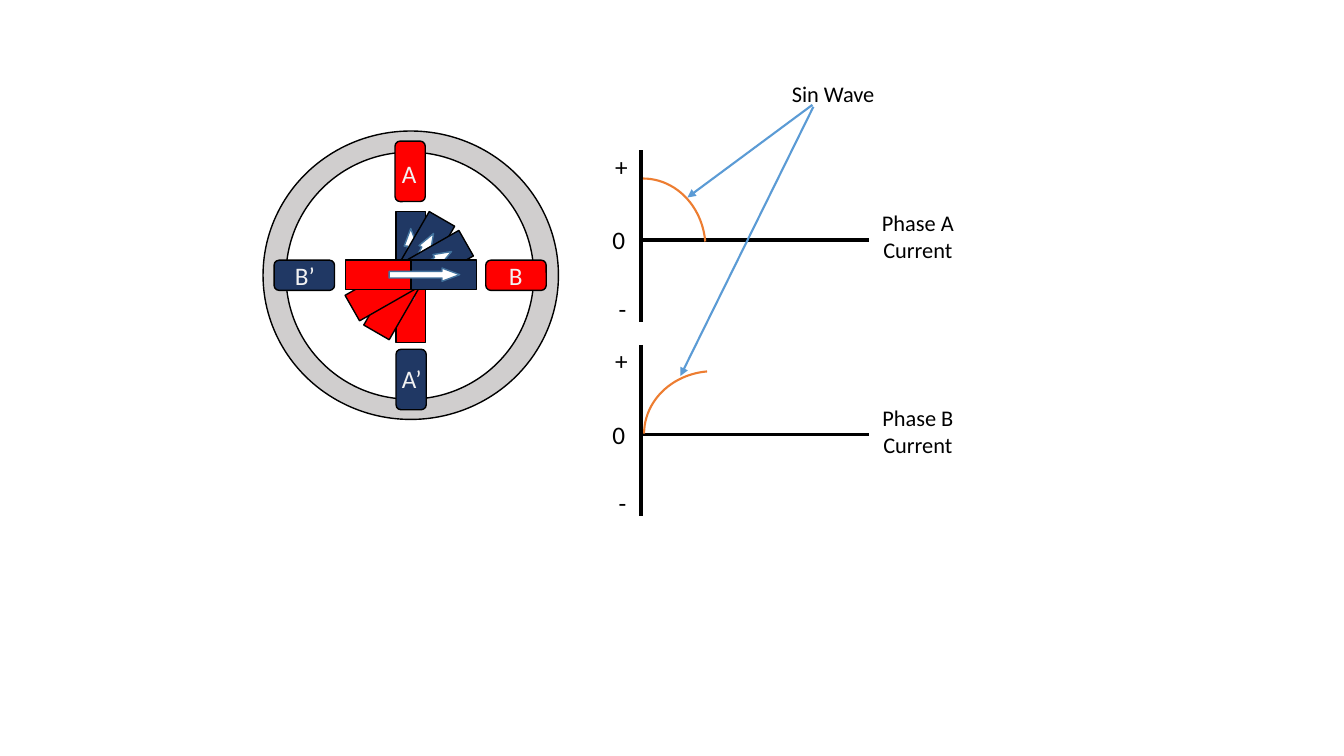
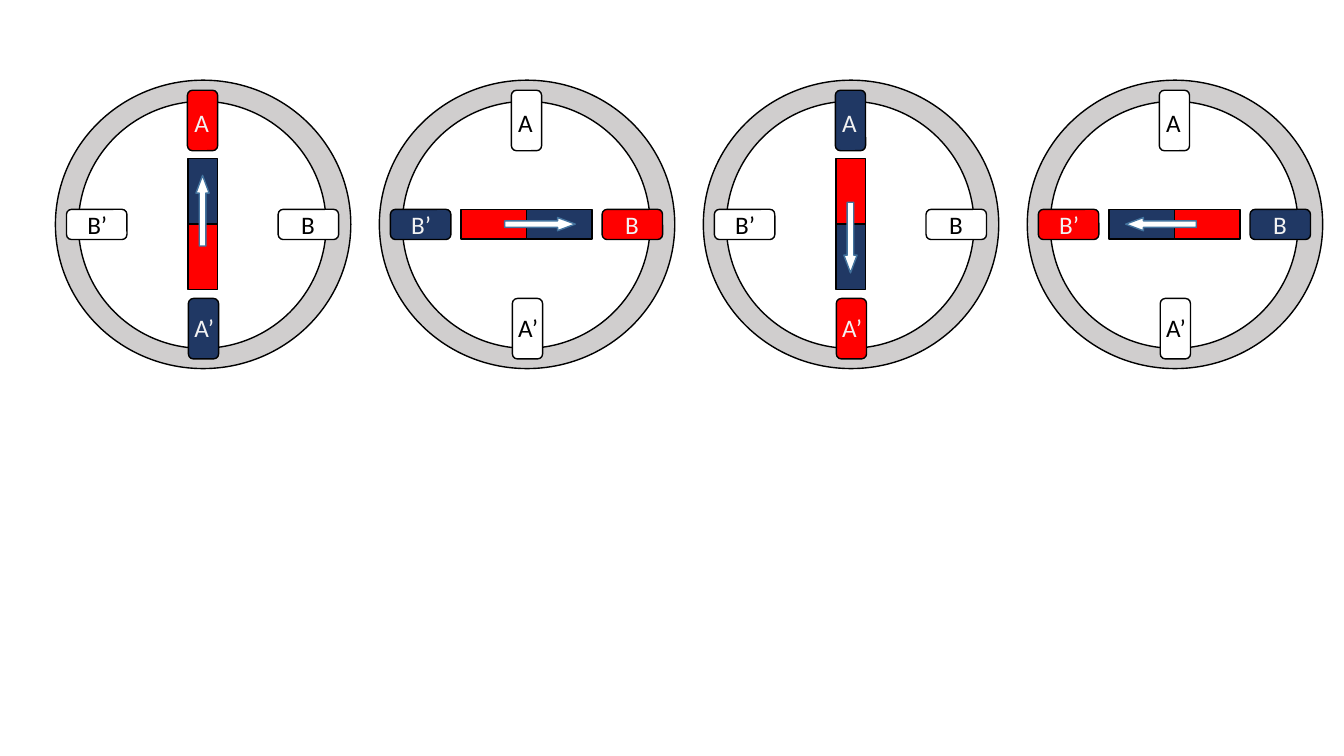
from dataclasses import dataclass
from math import cos, radians, sin

from lxml.etree import SubElement
from pptx import Presentation
from pptx.dml.color import RGBColor as RGB
from pptx.enum.shapes import MSO_CONNECTOR as LINE, MSO_SHAPE as SHAPE
from pptx.enum.text import MSO_AUTO_SIZE as AUTO, PP_ALIGN as ALIGN
from pptx.oxml.ns import qn
from pptx.util import Pt


@dataclass(frozen=True)
class Theme:
    font: str = "Calibri"
    label: int = 18
    caption: int = 16
    black: str = "000000"
    white: str = "FFFFFF"
    pale: str = "F2F2F2"
    ring: str = "D0CECE"
    north: str = "FF0000"
    south: str = "203864"
    arrow_edge: str = "43739E"
    wave: str = "ED7D31"
    pointer: str = "5B9BD5"
    thin: float = 1
    curve: float = 1.5
    axis: float = 2.25


THEME = Theme()
PAGE = (960, 540)

# Motor: places are relative to the top left of its ring.
RING = (211, 206)
BORE = (16.4, 15.1, 177, 176.4)
COIL = (21.6, 43.2)
PIVOT = (105.1, 102.8)
MAGNET = (21, 46.8)
ARROW = (50.4, 9.4)
ARROW_LEAD = 9.6
# name: opposite coil, coil centre, label centre, label width, turn, alignment
COILS = {
    "A": ("A’", (105.1, 28.8), (107.6, 30.2), 31, 0, ALIGN.LEFT),
    "A’": ("A", (105.8, 177.5), (107.6, 177), 31, 0, ALIGN.LEFT),
    "B": ("B’", (180.7, 103), (180.4, 103), 26.6, 270, ALIGN.CENTER),
    "B’": ("B", (29.5, 103), (29.9, 103), 31, 270, ALIGN.CENTER),
}

# Slide 1
MICROSTEP_MOTOR = (187.9, 93.6)
MICROSTEP_NORTH = ("A", "B")
# heading in degrees clockwise from the top, shift of the pivot
MICROSTEPS = [(0, (0.4, 1.6)), (30, (-0.7, 0.5)), (60.3, (-0.7, 0.5)), (90, (0.6, -0.2))]

AXIS_X, AXIS_END = 457.9, 620.6
GRAPH_TOP, GRAPH_STEP = 107.3, 139
GRAPH_HEIGHT, ZERO_DROP = 122.4, 64.1
ARC = (89.3, 99.4)
# caption, arc left, arc drop below the graph top, arc turn
GRAPHS = [
    ("Phase A Current", 414.7, 20.2, 0),
    ("Phase B Current", 465.1, 13.7, 270),
]
# sign, centre x, drop below the graph top, width
SIGNS = [("+", 443.9, 11.5, 25.2), ("-", 444.6, 113, 20.9), ("0", 442.1, 64.1, 24.5)]
CAPTION_CENTRE_X, CAPTION_DROP, CAPTION_WIDTH = 655.6, 61.9, 87.1
WAVE_NAME, WAVE_CENTRE = "Sin Wave", (595.1, 67.3)
POINTERS = [((580.3, 74.9), (491, 141.1)), ((581, 76.3), (486, 268.6))]

# Slide 2
FULL_STEP_LEFT, FULL_STEP_TOP, FULL_STEP_GAP = 39.6, 57.3, 231.4
FULL_STEPS = [("A", 0), ("B", 90), ("A’", 180), ("B’", 270)]


def assign(target, values):
    for name, value in values.items():
        setattr(target, name, value)


def outline(line, colour, width):
    line.color.rgb = RGB.from_string(colour)
    line.width = Pt(width)


def centred(centre, size):
    return (centre[0] - size[0] / 2, centre[1] - size[1] / 2, *size)


def add_figure(shapes, kind, box, fill=None, edge=THEME.black, width=THEME.thin,
               turn=0, adjust=()):
    figure = shapes.add_shape(kind, *map(Pt, box))
    figure.shadow.inherit = False
    figure.rotation = turn
    for index, value in enumerate(adjust):
        figure.adjustments[index] = value
    if fill:
        figure.fill.solid()
        figure.fill.fore_color.rgb = RGB.from_string(fill)
    else:
        figure.fill.background()
    outline(figure.line, edge, width)


def add_label(shapes, text, centre, size, colour=THEME.black, points=THEME.label,
              align=ALIGN.CENTER, wrap=False):
    box = shapes.add_textbox(*map(Pt, centred(centre, size)))
    assign(box.text_frame, {"word_wrap": wrap, "auto_size": AUTO.SHAPE_TO_FIT_TEXT})
    paragraph = box.text_frame.paragraphs[0]
    paragraph.alignment = align
    run = paragraph.add_run()
    run.text = text
    assign(run.font, {"name": THEME.font, "size": Pt(points)})
    run.font.color.rgb = RGB.from_string(colour)


def add_line(shapes, start, end, colour, width, arrow=False):
    line = shapes.add_connector(LINE.STRAIGHT, *map(Pt, (*start, *end)))
    outline(line.line, colour, width)
    properties = line.element.spPr
    if arrow:
        SubElement(properties.find(qn("a:ln")), qn("a:tailEnd"), type="triangle")
    SubElement(properties, qn("a:effectLst"))


def add_stator(shapes, origin, north):
    """Draw ring and coils; coils in north are red, those opposite them navy."""
    left, top = origin

    def place(point):
        return left + point[0], top + point[1]

    add_figure(shapes, SHAPE.OVAL, (*origin, *RING), THEME.ring)
    add_figure(shapes, SHAPE.OVAL, (*place(BORE), *BORE[2:]), THEME.white)
    for name, (opposite, centre, _, _, turn, _) in COILS.items():
        fill = (THEME.north if name in north
                else THEME.south if opposite in north else THEME.white)
        add_figure(shapes, SHAPE.ROUNDED_RECTANGLE, centred(place(centre), COIL),
                   fill, turn=turn)
    for name, (opposite, _, centre, width, _, align) in COILS.items():
        powered = name in north or opposite in north
        add_label(shapes, name, place(centre), (width, 28.8),
                  THEME.pale if powered else THEME.black,
                  align=align, wrap=align == ALIGN.LEFT)


def add_rotor(shapes, origin, heading, shift=(0, 0)):
    x, y = (sum(parts) for parts in zip(origin, PIVOT, shift))
    across, up = sin(radians(heading)), cos(radians(heading))

    def ahead(distance):
        return x + distance * across, y - distance * up

    half = MAGNET[1] / 2
    for distance, fill in ((half, THEME.south), (-half, THEME.north)):
        add_figure(shapes, SHAPE.RECTANGLE, centred(ahead(distance), MAGNET),
                   fill, turn=heading)
    add_figure(shapes, SHAPE.RIGHT_ARROW, centred(ahead(ARROW_LEAD), ARROW),
               THEME.white, THEME.arrow_edge, turn=(heading - 90) % 360,
               adjust=(0.5, 1.338))


def add_graph(shapes, top, caption, arc_left, arc_drop, arc_turn):
    zero = top + ZERO_DROP
    for start, end in (((AXIS_X, top), (AXIS_X, top + GRAPH_HEIGHT)),
                       ((AXIS_X, zero), (AXIS_END, zero))):
        add_line(shapes, start, end, THEME.black, THEME.axis)
    add_figure(shapes, SHAPE.ARC, (arc_left, top + arc_drop, *ARC), None,
               THEME.wave, THEME.curve, arc_turn, (162, 212.361))
    for sign, x, drop, width in SIGNS:
        add_label(shapes, sign, (x, top + drop), (width, 28.8))
    add_label(shapes, caption, (CAPTION_CENTRE_X, top + CAPTION_DROP),
              (CAPTION_WIDTH, 46.1), points=THEME.caption, wrap=True)


def build_microstep_slide(shapes):
    add_stator(shapes.add_group_shape().shapes, MICROSTEP_MOTOR, MICROSTEP_NORTH)
    for heading, shift in MICROSTEPS:
        add_rotor(shapes.add_group_shape().shapes, MICROSTEP_MOTOR, heading, shift)
    for row, graph in enumerate(GRAPHS):
        add_graph(shapes, GRAPH_TOP + row * GRAPH_STEP, *graph)
    for start, end in POINTERS:
        add_line(shapes, start, end, THEME.pointer, THEME.curve, arrow=True)
    add_label(shapes, WAVE_NAME, WAVE_CENTRE, (CAPTION_WIDTH, 26.6),
              points=THEME.caption, wrap=True)


def build_full_step_slide(shapes):
    for column, (north, heading) in enumerate(FULL_STEPS):
        origin = (FULL_STEP_LEFT + column * FULL_STEP_GAP, FULL_STEP_TOP)
        motor = shapes.add_group_shape().shapes
        add_stator(motor, origin, (north,))
        add_rotor(motor, origin, heading)


def main():
    deck = Presentation()
    deck.slide_width, deck.slide_height = map(Pt, PAGE)
    for build in (build_microstep_slide, build_full_step_slide):
        build(deck.slides.add_slide(deck.slide_layouts[6]).shapes)
    deck.save("out.pptx")


if __name__ == "__main__":
    main()
